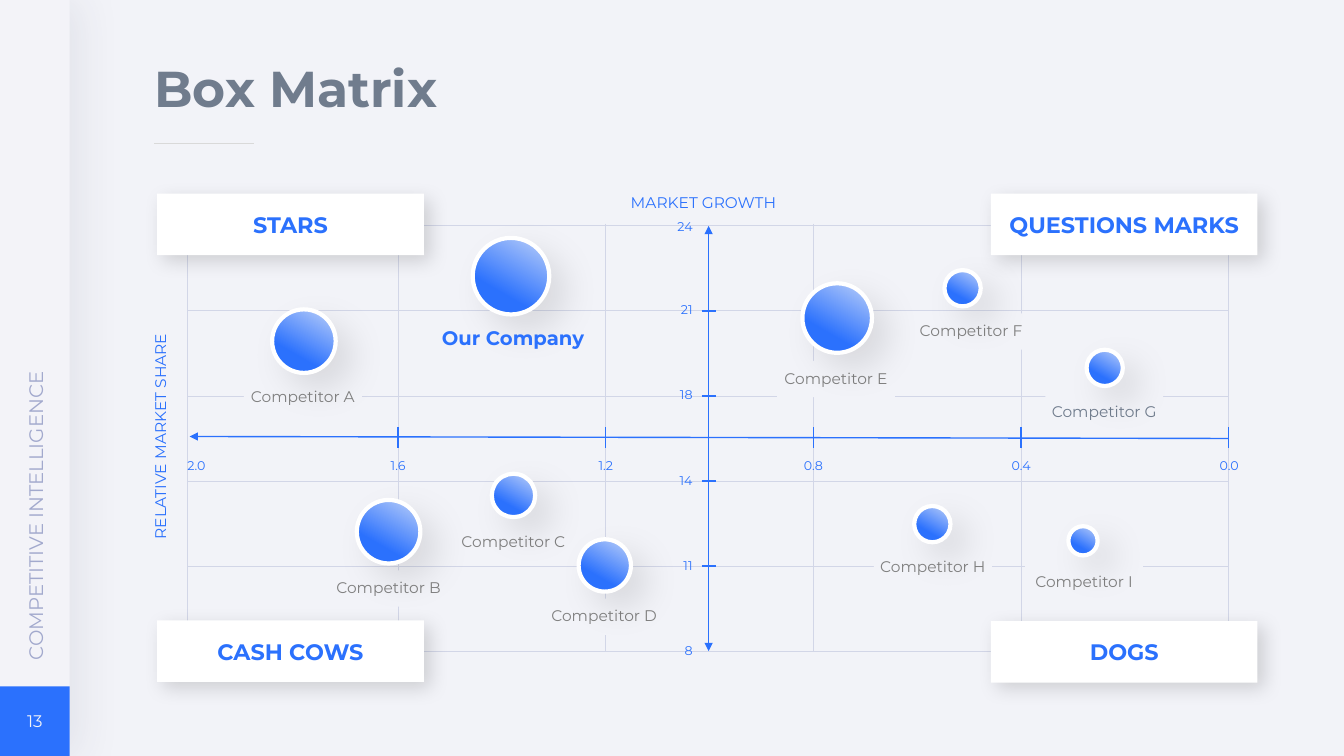
from lxml.etree import SubElement
from pptx import Presentation
from pptx.dml.color import RGBColor
from pptx.enum.shapes import MSO_CONNECTOR as LINE, MSO_SHAPE as SHAPE
from pptx.enum.text import MSO_ANCHOR as ANCHOR, PP_ALIGN as ALIGN
from pptx.oxml.ns import qn
from pptx.util import Pt

COLORS = {"back": "F2F3F8", "strip": "F3F3F8", "blue": "2B71FD", "sky": "BFD2F9",
          "grid": "D2D6E7", "rule": "D9D9D9", "slate": "707C8D", "gray": "808080",
          "lilac": "A2A9CD", "white": "FFFFFF", "navy": "2B3150", "black": "000000"}
FONT = "Montserrat"

TITLE = "Box Matrix"
SHARES = [("2.0", 133.9, 6.5), ("1.6", 284.4, 0), ("1.2", 432.7, 0),
          ("0.8", 581, 0), ("0.4", 729.4, 0), ("0.0", 877.7, 0.4)]
GROWTHS = [("24", 1.4), ("21", -0.6), ("18", 0), ("14", 0), ("11", 0), ("8", 0)]
GRID_LEFT, GRID_RIGHT, GRID_TOP, ROW_STEP = 133.9, 877.7, 161.3, 60.76
AXIS_X, AXIS_Y = 506.2, 312.8

# name, (bubble centre x, centre y, diameter), (label centre x, top), colour
COMPETITORS = [
    ("Competitor A", (217.1, 243.7, 45.4), (216.4, 270.7), "gray"),
    ("Competitor B", (277.6, 379.8, 45.4), (277.6, 407.5), "gray"),
    ("Competitor C", (366.8, 353.9, 31), (366.8, 374.4), "gray"),
    ("Competitor D", (432, 403.9, 37.4), (431.6, 427.7), "gray"),
    ("Competitor E", (598, 227.2, 49.7), (597.2, 257.8), "gray"),
    ("Competitor F", (687.6, 205.9, 25.9), (693.7, 223.9), "gray"),
    ("Competitor G", (789.1, 262.8, 25.9), (788.8, 281.5), "slate"),
    ("Competitor H", (666, 374.4, 25.9), (666.4, 392.4), "gray"),
    ("Competitor I", (773.6, 386.3, 20.9), (774.4, 403.2), "gray"),
]
CARDS = [("STARS", 112.3, 138.4), ("CASH COWS", 112.3, 443.2),
         ("DOGS", 707.8, 443.6), ("QUESTIONS MARKS", 707.8, 138.4)]


def rgb(name):
    return RGBColor.from_string(COLORS[name])


def write(s, text, size, color, bold=False, align=ALIGN.CENTER, spacing=0.9, anchor=ANCHOR.MIDDLE):
    tf = s.text_frame
    tf.word_wrap = True
    tf.vertical_anchor = anchor
    tf.margin_left = tf.margin_right = 0
    tf.margin_top = tf.margin_bottom = Pt(3.6)
    p = tf.paragraphs[0]
    p.alignment = align
    p.line_spacing = spacing
    r = p.add_run()
    r.text = text
    r.font.name, r.font.size, r.font.bold = FONT, Pt(size), bold
    r.font.color.rgb = rgb(color)


def add_text(box, text, size, color, rotation=0, **style):
    s = slide.shapes.add_textbox(*map(Pt, box))
    s.rotation = rotation
    write(s, text, size, color, **style)


def add_block(kind, box, fill, shadow=None):
    s = slide.shapes.add_shape(kind, *map(Pt, box))
    s.shadow.inherit = False
    s.line.fill.background()
    s.fill.solid()
    s.fill.fore_color.rgb = rgb(fill)
    if shadow:
        color, alpha, blur, distance, angle = shadow
        effects = s.element.spPr.find(qn("a:effectLst"))
        outer = SubElement(effects, qn("a:outerShdw"), blurRad=str(Pt(blur)), dist=str(Pt(distance)),
                           dir=str(angle * 60000), algn="ctr", rotWithShape="0")
        tone = SubElement(outer, qn("a:srgbClr"), val=COLORS[color])
        SubElement(tone, qn("a:alpha"), val=str(alpha * 1000))
    return s


def add_bubble(cx, cy, size):
    s = add_block(SHAPE.OVAL, (cx - size / 2, cy - size / 2, size, size), "blue",
                  ("black", 10, 25, 15, 45))
    s.fill.gradient()
    s.fill.gradient_angle = 240
    for stop, color, position in zip(s.fill.gradient_stops, ("sky", "blue"), (0, 0.69)):
        stop.color.rgb = rgb(color)
        stop.position = position
    s.line.color.rgb = rgb("white")
    s.line.width = Pt(3)


def add_line(x1, y1, x2, y2, color, width, arrows=()):
    s = slide.shapes.add_connector(LINE.STRAIGHT, Pt(x1), Pt(y1), Pt(x2), Pt(y2))
    s.line.color.rgb = rgb(color)
    s.line.width = Pt(width)
    sp = s.element.spPr
    for end in arrows:
        SubElement(sp.find(qn("a:ln")), qn("a:" + end), type="triangle")
    SubElement(sp, qn("a:effectLst"))


def add_sidebar():
    strip = add_block(SHAPE.ROUND_2_SAME_RECTANGLE, (0, 0, 49.7, 540), "strip", ("navy", 7, 30, 7, 0))
    strip.adjustments[0] = strip.adjustments[1] = 0
    strip.rotation = 180
    add_block(SHAPE.RECTANGLE, (0, 490.3, 49.7, 49.7), "blue")
    add_text((7.2, 503.3, 35.3, 23.8), "13", 12, "back", spacing=1)
    add_text((-111.6, 320.4, 273.6, 29.5), "COMPETITIVE INTELLIGENCE", 14, "lilac",
             rotation=270, align=ALIGN.LEFT, spacing=1)


def add_axes():
    rows = [GRID_TOP + i * ROW_STEP for i in range(len(GROWTHS))]
    for y in rows:
        add_line(GRID_LEFT, y, GRID_RIGHT, y, "grid", 0.5)
    for _, x, _ in SHARES:
        add_line(x, 159.8, x, rows[-1], "grid", 0.5)
    add_line(GRID_RIGHT, 313.2, 135.4, 311.8, "blue", 1, ["tailEnd"])
    for _, x, _ in SHARES[1:]:
        add_line(x, AXIS_Y - 7.5, x, AXIS_Y + 7.5, "blue", 1)
    for text, x, shift in SHARES:
        add_text((x + shift - 15.85, 323.3, 31.7, 19.4), text, 9, "blue")
    add_line(AXIS_X, rows[-1], AXIS_X, rows[0], "blue", 1, ["headEnd", "tailEnd"])
    for y in rows[1:-1]:
        add_line(AXIS_X - 5, y, AXIS_X + 5, y, "blue", 1)
    for (text, shift), y in zip(GROWTHS, rows):
        add_text((463, y + shift - 9.7, 31.7, 19.4), text, 9, "blue", align=ALIGN.RIGHT)
    add_text((446.4, 128.2, 112.3, 34.6), "MARKET GROWTH", 11, "blue")
    add_text((37.4, 294.5, 155.5, 34.6), "RELATIVE MARKET SHARE", 11, "blue", rotation=270)


def add_competitors():
    add_bubble(365, 197.3, 54.7)
    add_text((312.5, 231.1, 108, 22.3), "Our Company", 14, "blue", bold=True)
    for name, _, (cx, top), color in COMPETITORS:
        label = add_block(SHAPE.RECTANGLE, (cx - 42.1, top, 84.2, 25.9), "back")
        write(label, name, 11, color)
    for _, bubble, _, _ in COMPETITORS:
        add_bubble(*bubble)


def add_cards():
    for text, left, top in CARDS:
        card = add_block(SHAPE.ROUNDED_RECTANGLE, (left, top, 190.4, 43.9), "white",
                         ("black", 15, 14, 6, 45))
        card.adjustments[0] = 0
        write(card, text, 16, "blue", bold=True, spacing=1)


def main():
    """Build the growth and share matrix slide."""
    add_sidebar()
    add_axes()
    add_competitors()
    add_text((110.2, 42, 704.2, 59.8), TITLE, 36, "slate", bold=True,
             align=ALIGN.LEFT, anchor=ANCHOR.TOP)
    add_cards()
    add_line(110.2, 102.6, 181.4, 102.6, "rule", 0.5)
    prs.save("out.pptx")


if __name__ == "__main__":
    prs = Presentation()
    prs.slide_width, prs.slide_height = Pt(960), Pt(540)
    slide = prs.slides.add_slide(prs.slide_layouts[6])
    slide.background.fill.solid()
    slide.background.fill.fore_color.rgb = rgb("back")
    main()
